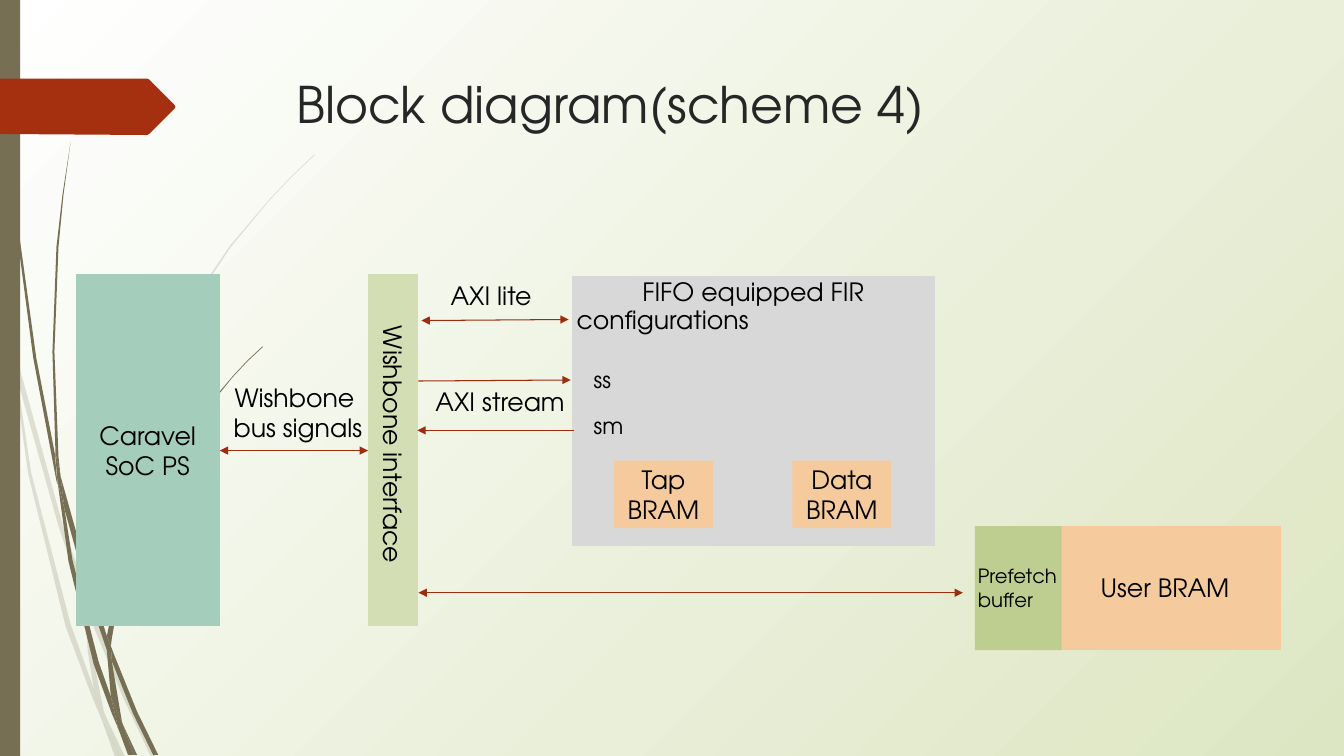
from dataclasses import dataclass

from lxml import etree
from pptx import Presentation
from pptx import util as u
from pptx.dml.color import RGBColor
from pptx.enum import shapes, text
from pptx.oxml import ns

PX = 9144


@dataclass(frozen=True)
class Theme:
    font: str = "TeX Gyre Adventor"
    stalk: str = "766F54"
    ribbon: str = "A53010"
    arrow: str = "9D2D0F"
    heading: str = "262626"
    ink: str = "000000"
    processor: str = "A4CDBC"
    interface: str = "D3DEB5"
    filter: str = "D8D8D8"
    memory: str = "F5CB9D"
    prefetch: str = "BECE90"
    glow: str = "FFFFFF"
    meadow: str = "DDE6C3"
    title_size: int = 36
    body_size: int = 18
    port_size: int = 16
    note_size: int = 14


THEME = Theme()
FLOW = shapes.MSO_SHAPE.FLOWCHART_PROCESS
RECT = shapes.MSO_SHAPE.RECTANGLE
LEFT, CENTER = text.PP_ALIGN.LEFT, text.PP_ALIGN.CENTER
TOP, MIDDLE = text.MSO_ANCHOR.TOP, text.MSO_ANCHOR.MIDDLE


@dataclass(frozen=True)
class Block:
    box: tuple[int, int, int, int]
    fill: str
    lines: tuple[str, ...] = ()
    form: shapes.MSO_SHAPE = FLOW
    anchor: text.MSO_ANCHOR = MIDDLE
    inset_y: int = 5


@dataclass(frozen=True)
class Label:
    box: tuple[int, int, int, int]
    lines: tuple[str, ...]
    size: int = THEME.body_size
    color: str = THEME.ink
    align: text.PP_ALIGN = LEFT
    gap: int = 0
    turn: int = 0


@dataclass(frozen=True)
class Link:
    start: tuple[int, int]
    end: tuple[int, int]
    two_way: bool = True


FAINT_WISPS = (
    "11,350 9,322 0,282 0,299 10,344",
    "58,522 84,599 85,586 62,520 14,345 17,376",
    "92,607 88,596 88,610 123,694 150,751 155,751 127,692",
    "119,751 124,751 105,711",
    "93,683 70,619 31,469 17,376 11,350 28,470 65,621 92,693 101,714 99,707",
    "84,599 87,646 93,683 96,692 105,711 103,706 91,646 88,610 88,608",
    "88,584 110,462 160,349 229,245 268,198 290,175 312,154 312,153 289,175 268,197 228,244 158,348 "
    "107,461 85,584 85,586 88,596",
    "101,714 114,751 119,751",
    "96,692 93,683 99,707 101,714 119,751 105,711",
)
SOLID_WISPS = (
    "7,110 17,233 33,355 56,477 57,481 55,457 55,453 36,355 19,232 8,109 5,48 4,0 3,0 4,48",
    "88,592 106,645 106,633 106,631 93,590 60,472 64,505",
    "113,649 110,641 111,656 132,708 152,749 157,749 136,706",
    "110,691 98,657 72,556 64,505 57,477 68,557 93,659 111,708 117,722 116,717",
    "60,472 58,453 54,349 58,245 63,193 70,141 62,193 56,245 52,349 55,449",
    "133,749 136,749 122,719",
    "57,477 64,505 60,472 55,449 55,453",
    "111,633 125,552 158,476 205,406 231,374 245,359 261,344 260,344 245,358 231,373 204,405 156,474 "
    "122,551 106,631 110,641",
    "117,722 127,749 131,749",
    "106,645 110,691 116,706 122,719 121,716 111,656 109,651",
    "106,645 109,651 111,656 110,641 106,631 106,633",
    "116,706 110,691 116,717 117,722 130,749 133,749 122,719",
)
RIBBON = "0,78 146,78 148,79 173,104 174,106 173,108 148,133 146,134 0,133"

BLOCKS = (
    Block((75, 272, 143, 349), THEME.processor, ("Caravel", "SoC PS")),
    Block((365, 272, 50, 349), THEME.interface),
    Block((1040, 522, 231, 123), THEME.memory),
    Block((567, 274, 360, 268), THEME.filter, ("FIFO equipped FIR",), anchor=TOP, inset_y=0),
    Block((609, 457, 98, 67), THEME.memory, ("Tap", "BRAM"), RECT),
    Block((786, 457, 98, 67), THEME.memory, ("Data", "BRAM"), RECT),
    Block((967, 522, 86, 123), THEME.prefetch, form=RECT),
)
LINKS = (
    Link((415, 588), (955, 588)),
    Link((218, 447), (365, 447)),
    Link((564, 317), (418, 318)),
    Link((569, 427), (414, 427), two_way=False),
    Link((415, 378), (566, 377), two_way=False),
)
LABELS = (
    Label((284, 68, 975, 140), ("Block diagram(scheme 4)",), THEME.title_size, THEME.heading),
    Label((209, 421, 362, 40), ("Wishbone interface",), align=CENTER, turn=90),
    Label((221, 374, 149, 71), ("Wishbone ", "bus signals"), align=CENTER),
    Label((1065, 563, 181, 40), ("User BRAM",), align=CENTER),
    Label((562, 297, 194, 40), ("configurations",)),
    Label((437, 273, 102, 40), ("AXI lite",)),
    Label((422, 378, 150, 40), ("AXI stream",)),
    Label((579, 358, 115, 84), ("ss", "sm"), THEME.port_size, gap=14),
    Label((960, 555, 108, 57), ("Prefetch", "buffer"), THEME.note_size),
)


def scaled(box: tuple[int, ...]) -> list[int]:
    return [value * PX for value in box]


def paint(shape, color: str) -> None:
    shape.shadow.inherit = False
    shape.fill.solid()
    shape.fill.fore_color.rgb = RGBColor.from_string(color)
    shape.line.fill.background()


def write(frame, lines: tuple[str, ...], *, size: int = THEME.body_size, color: str = THEME.ink,
          align=CENTER, anchor=TOP, inset_y: int = 5, gap: int = 0) -> None:
    frame.word_wrap = True
    frame.vertical_anchor = anchor
    frame.margin_left = frame.margin_right = 10 * PX
    frame.margin_top = frame.margin_bottom = inset_y * PX
    for index, line in enumerate(lines):
        paragraph = frame.paragraphs[0] if index == 0 else frame.add_paragraph()
        paragraph.alignment = align
        if index and gap:
            paragraph.space_before = u.Pt(gap)
        run = paragraph.add_run()
        run.text = line
        run.font.name = THEME.font
        run.font.size = u.Pt(size)
        run.font.color.rgb = RGBColor.from_string(color)


def draw_outline(slide, outline: str, color: str, alpha: int = 100) -> None:
    corners = [tuple(map(int, corner.split(","))) for corner in outline.split()]
    builder = slide.shapes.build_freeform(*corners[0], scale=PX)
    builder.add_line_segments(corners[1:], close=True)
    shape = builder.convert_to_shape()
    paint(shape, color)
    if alpha < 100:
        tint = shape._element.spPr.find(".//" + ns.qn("a:srgbClr"))
        etree.SubElement(tint, ns.qn("a:alpha"), val=str(alpha * 1000))


def draw_block(slide, block: Block) -> None:
    shape = slide.shapes.add_shape(block.form, *scaled(block.box))
    paint(shape, block.fill)
    if block.lines:
        write(shape.text_frame, block.lines, anchor=block.anchor, inset_y=block.inset_y)


def draw_label(slide, label: Label) -> None:
    box = slide.shapes.add_textbox(*scaled(label.box))
    box.rotation = label.turn
    write(box.text_frame, label.lines, size=label.size, color=label.color, align=label.align, gap=label.gap)


def draw_link(slide, link: Link) -> None:
    arrow = slide.shapes.add_connector(shapes.MSO_CONNECTOR.STRAIGHT, *scaled(link.start + link.end))
    arrow.line.color.rgb = RGBColor.from_string(THEME.arrow)
    arrow.line.width = u.Pt(0.75)
    for tip in ("a:headEnd", "a:tailEnd") if link.two_way else ("a:tailEnd",):
        etree.SubElement(arrow.line._get_or_add_ln(), ns.qn(tip), type="triangle")
    etree.SubElement(arrow._element.spPr, ns.qn("a:effectLst"))


def draw_background(slide) -> None:
    fill = slide.background.fill
    fill.gradient()
    for stop, color in zip(fill.gradient_stops, (THEME.glow, THEME.meadow)):
        stop.color.rgb = RGBColor.from_string(color)
    gradient = slide._element.find(".//" + ns.qn("a:gradFill"))
    gradient.remove(gradient.find(ns.qn("a:lin")))
    spread = etree.SubElement(gradient, ns.qn("a:path"), {"path": "circle"})
    etree.SubElement(spread, ns.qn("a:fillToRect"), r="100000", b="100000")


def main() -> None:
    deck = Presentation()
    deck.slide_width, deck.slide_height = scaled((1333, 750))
    slide = deck.slides.add_slide(deck.slide_layouts[6])
    draw_background(slide)
    for wisps, alpha in ((FAINT_WISPS, 20), (SOLID_WISPS, 100)):
        for wisp in wisps:
            draw_outline(slide, wisp, THEME.stalk, alpha)
    draw_block(slide, Block((0, 0, 20, 750), THEME.stalk, form=RECT))
    draw_outline(slide, RIBBON, THEME.ribbon)
    for draw, parts in ((draw_block, BLOCKS), (draw_link, LINKS), (draw_label, LABELS)):
        for part in parts:
            draw(slide, part)
    deck.save("out.pptx")


if __name__ == "__main__":
    main()
